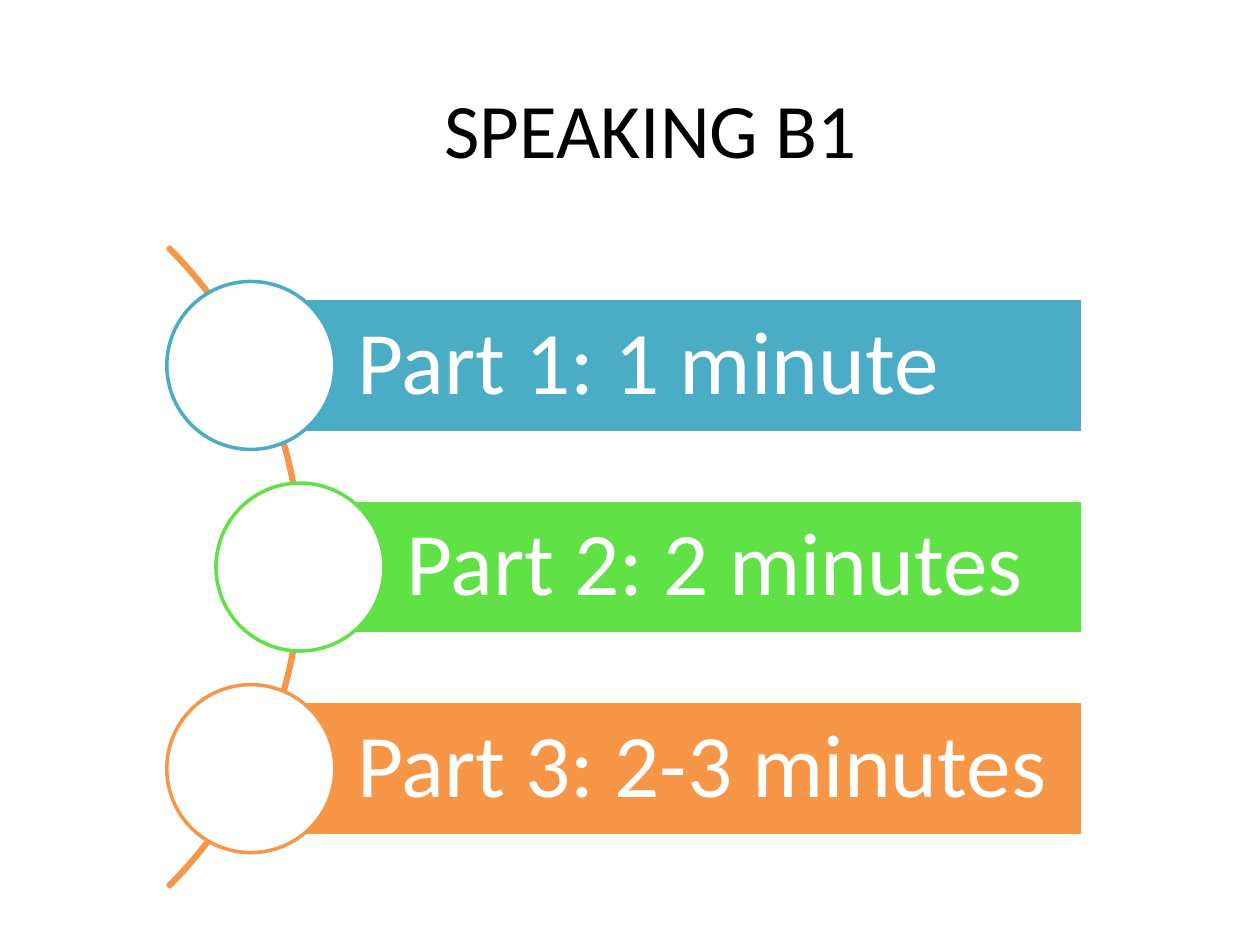
from pptx import Presentation
from pptx import util as u
from pptx.dml.color import RGBColor
from pptx.enum import shapes, text

# Content: label, colour name, centre of the circle (also the bar's left edge)
TITLE = "SPEAKING B1"
PARTS = [
    ("Part 1: 1 minute", "blue", 143.3),
    ("Part 2: 2 minutes", "green", 171.4),
    ("Part 3: 2-3 minutes", "orange", 143.3),
]


class Theme:
    font = "Calibri"
    title_size, label_size, line_width = 44, 51, 2
    black = RGBColor.from_string("000000")
    white = RGBColor.from_string("FFFFFF")
    blue = RGBColor.from_string("4BACC6")
    green = RGBColor.from_string("60E146")
    orange = RGBColor.from_string("F79646")


# Geometry in points
MIDDLE_Y, ROW_PITCH = 324, 115.2
BAR_RIGHT, BAR_HEIGHT = 618.8, 76.8
CIRCLE = 96
ARC_SIZE, ARC_CENTRE_X = 517, -85.7


def add_shape(page, kind, left, top, width, height, fill, line):
    shape = page.shapes.add_shape(kind, *map(u.Pt, (left, top, width, height)))
    shape.shadow.inherit = False
    if fill is None:
        shape.fill.background()
    else:
        shape.fill.solid()
        shape.fill.fore_color.rgb = fill
    shape.line.color.rgb = line
    shape.line.width = u.Pt(Theme.line_width)
    return shape


def set_text(shape, words, size, colour, align, insets):
    frame = shape.text_frame
    frame.word_wrap = True
    frame.vertical_anchor = text.MSO_ANCHOR.MIDDLE
    (frame.margin_left, frame.margin_top,
     frame.margin_right, frame.margin_bottom) = map(u.Pt, insets)
    paragraph = frame.paragraphs[0]
    paragraph.text = words
    paragraph.alignment = align
    paragraph.font.name = Theme.font
    paragraph.font.size = u.Pt(size)
    paragraph.font.color.rgb = colour
    return paragraph


def main():
    deck = Presentation()
    deck.slide_width, deck.slide_height = u.Pt(720), u.Pt(540)
    page = deck.slides.add_slide(deck.slide_layouts[6])

    # Title, raised by a deep bottom inset
    box = page.shapes.add_textbox(*map(u.Pt, (66, 42, 612, 116)))
    set_text(box, TITLE, Theme.title_size, Theme.black,
             text.PP_ALIGN.CENTER, (7.2, 3.6, 7.2, 57.3))

    # Arc behind the rows, from 315 to 45 degrees
    arc = add_shape(page, shapes.MSO_SHAPE.BLOCK_ARC,
                    ARC_CENTRE_X - ARC_SIZE / 2, MIDDLE_Y - ARC_SIZE / 2,
                    ARC_SIZE, ARC_SIZE, None, Theme.orange)
    for index, value in enumerate((189, 27, 0.003)):
        arc.adjustments[index] = value

    # Rows: a labelled bar with a circle over its left edge
    for row, (label, colour_name, centre_x) in enumerate(PARTS):
        colour = getattr(Theme, colour_name)
        centre_y = MIDDLE_Y + (row - (len(PARTS) - 1) / 2) * ROW_PITCH
        bar = add_shape(page, shapes.MSO_SHAPE.RECTANGLE,
                        centre_x, centre_y - BAR_HEIGHT / 2,
                        BAR_RIGHT - centre_x, BAR_HEIGHT, colour, Theme.white)
        paragraph = set_text(bar, label, Theme.label_size, Theme.white,
                             text.PP_ALIGN.LEFT, (61, 10, 10, 10))
        paragraph.line_spacing = 0.9
        add_shape(page, shapes.MSO_SHAPE.OVAL,
                  centre_x - CIRCLE / 2, centre_y - CIRCLE / 2,
                  CIRCLE, CIRCLE, Theme.white, colour)

    deck.save("out.pptx")


if __name__ == "__main__":
    main()
